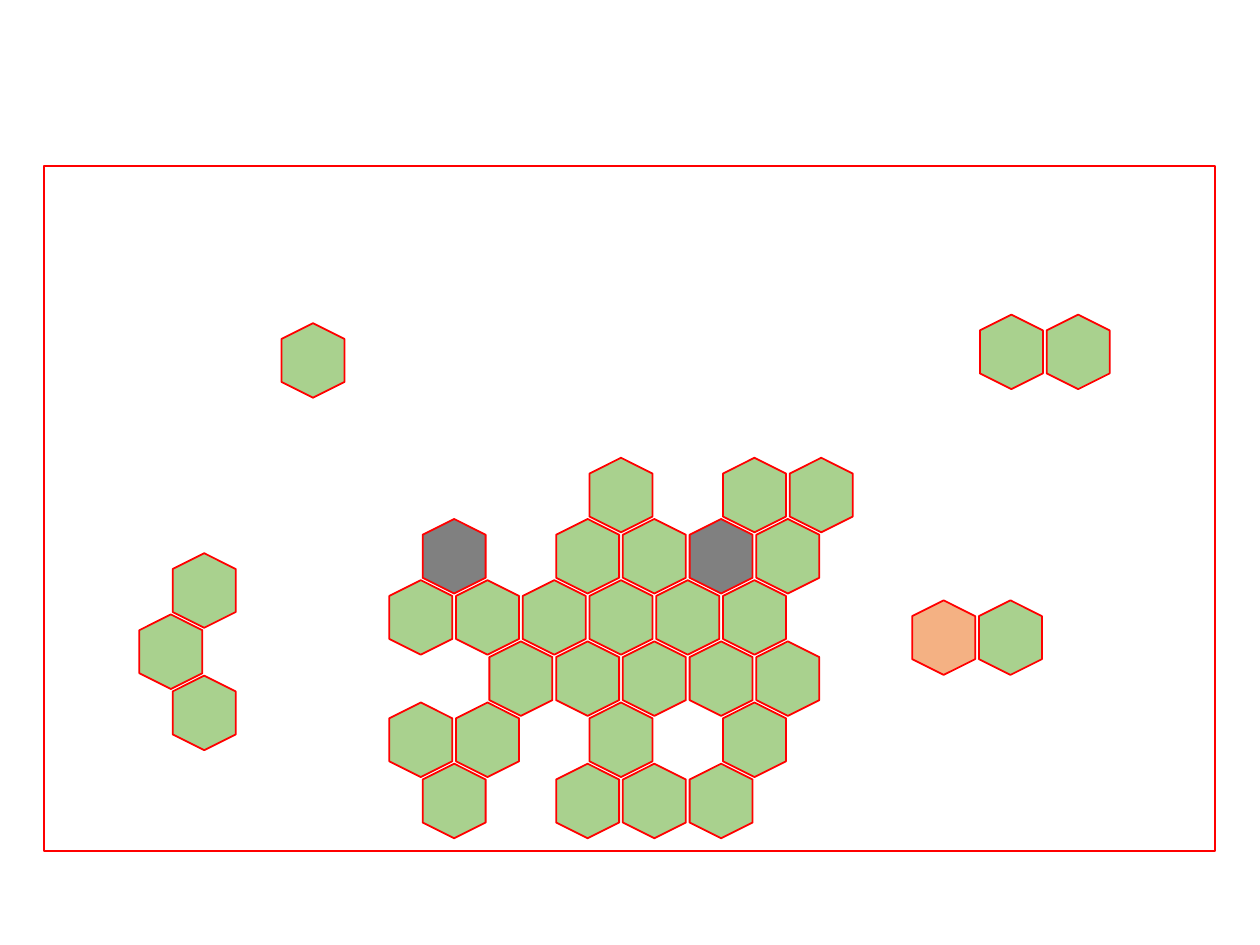
from dataclasses import dataclass

from pptx import Presentation
from pptx import util as u
from pptx.dml.color import RGBColor
from pptx.enum import shapes

SLIDE_W, SLIDE_H = 9.8, 7.35
MAP_BOX = (0.34, 1.29, 9.11, 5.33)
COLUMNS, ROWS = 35.1, 11.2
HEX_LENGTH, HEX_BREADTH = 0.58, 0.49


@dataclass(frozen=True)
class Theme:
    land: str = "A9D18E"
    rock: str = "808080"
    desert: str = "F4B183"
    border: str = "FF0000"
    border_width: float = 1


THEME = Theme()
TERRAIN = {"L": THEME.land, "R": THEME.rock, "D": THEME.desert}

ISLANDS = [
    (11.3, 5.38, [
        "......L...L.L",
        ".R...L.L.R.L",
        "L.L.L.L.L.L",
        "...L.L.L.L.L",
        "L.L...L...L",
        ".L...L.L.L",
    ]),
    (8.07, 3.18, ["L"]),
    (29, 3.04, ["L.L"]),
    (3.81, 6.94, [".L", "L", ".L"]),
    (26.97, 7.71, ["D.L"]),
]


def add_outlined(slide, kind, left, top, width, height, fill=None):
    outlined = slide.shapes.add_shape(
        kind, u.Inches(left), u.Inches(top), u.Inches(width), u.Inches(height))
    outlined.shadow.inherit = False
    if fill:
        outlined.fill.solid()
        outlined.fill.fore_color.rgb = RGBColor.from_string(fill)
    else:
        outlined.fill.background()
    outlined.line.color.rgb = RGBColor.from_string(THEME.border)
    outlined.line.width = u.Pt(THEME.border_width)
    return outlined


def draw_island(slide, box, first_column, first_row, tiles):
    left, top, width, height = box
    for row, line in enumerate(tiles, start=0):
        center_y = top + (first_row + row) * height / ROWS
        for column, tile in enumerate(line):
            if tile not in TERRAIN:
                continue
            center_x = left + (first_column + column) * width / COLUMNS
            hexagon = add_outlined(
                slide, shapes.MSO_SHAPE.HEXAGON,
                center_x - HEX_LENGTH / 2, center_y - HEX_BREADTH / 2,
                HEX_LENGTH, HEX_BREADTH, TERRAIN[tile])
            hexagon.rotation = 270


def draw_map(slide, box):
    for first_column, first_row, tiles in ISLANDS:
        draw_island(slide, box, first_column, first_row, tiles)
    add_outlined(slide, shapes.MSO_SHAPE.RECTANGLE, *box)


def main():
    deck = Presentation()
    deck.slide_width, deck.slide_height = u.Inches(SLIDE_W), u.Inches(SLIDE_H)
    slide = deck.slides.add_slide(deck.slide_layouts[6])
    draw_map(slide, MAP_BOX)
    deck.save("out.pptx")


if __name__ == "__main__":
    main()
